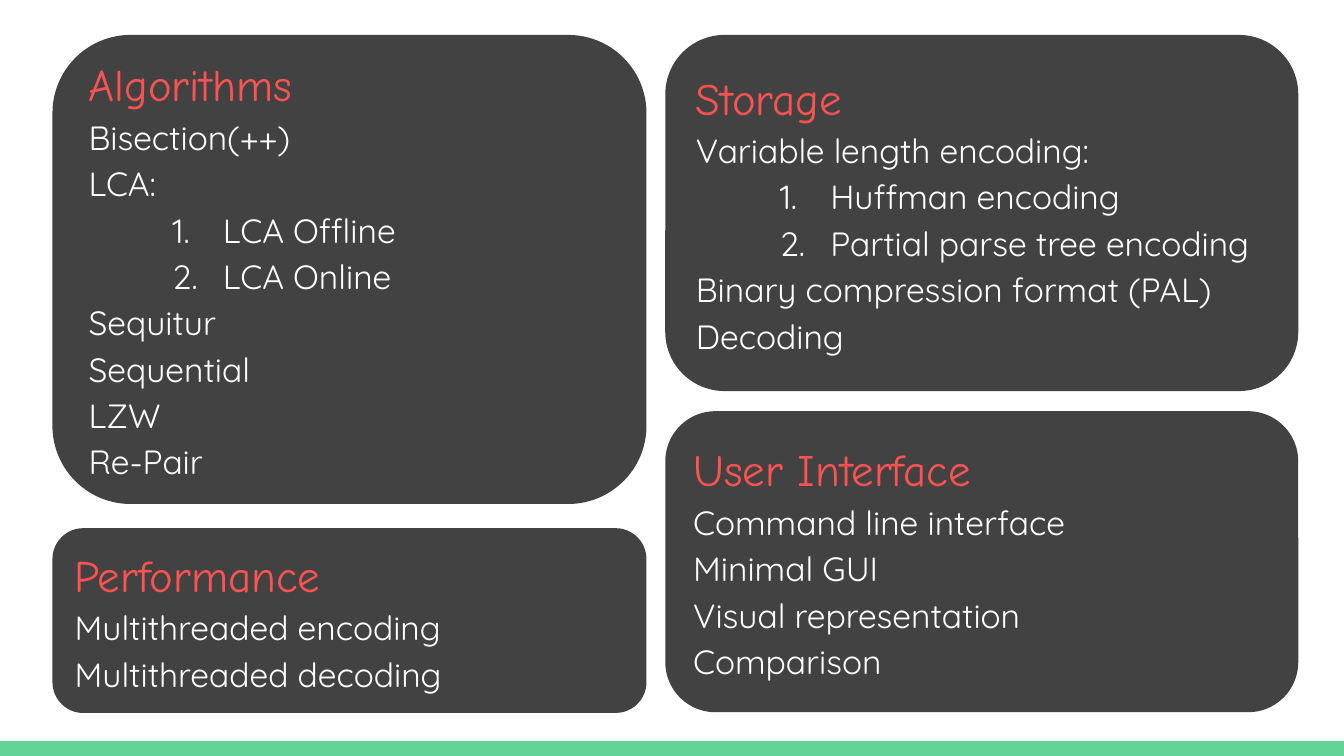
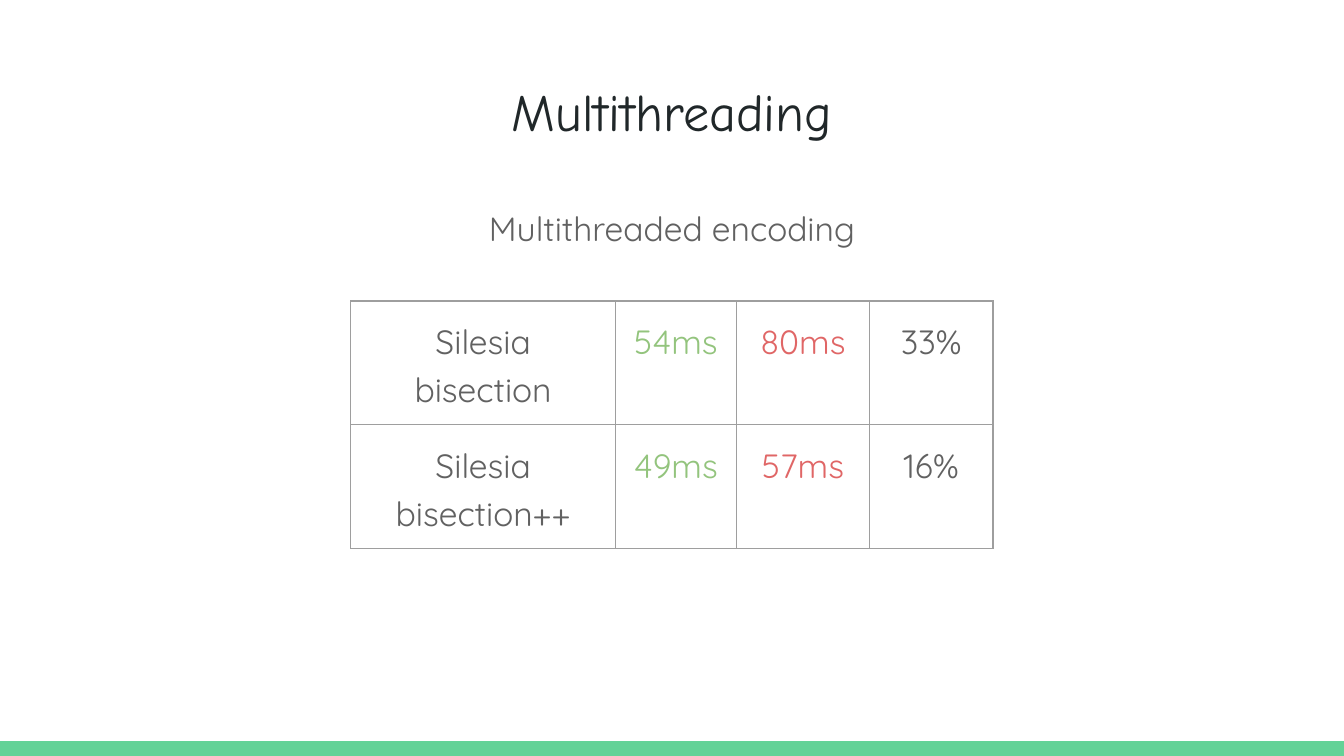
from dataclasses import dataclass

from lxml import etree
from pptx import Presentation
from pptx import util as u
from pptx.dml.color import RGBColor
from pptx.enum import shapes, text
from pptx.oxml.ns import qn


@dataclass(frozen=True)
class Theme:
    band: str = "63D297"
    panel: str = "424242"
    heading: str = "FF5252"
    light: str = "FFFFFF"
    title: str = "202729"
    body: str = "616161"
    faster: str = "93C47D"
    slower: str = "E06666"
    border: str = "9E9E9E"
    heading_font: str = "Comic Neue"
    body_font: str = "Quicksand"
    title_size: int = 28
    heading_size: int = 24
    body_size: int = 18
    body_spacing: float = 1.15
    border_width: float = 0.75


class Deck:
    COLUMNS = 100
    ROWS = 56.25

    def __init__(self, theme):
        self.theme = theme
        self.presentation = Presentation()
        self.presentation.slide_width = u.Inches(10)
        self.presentation.slide_height = u.Inches(5.625)
        self.slide = None

    def across(self, columns):
        return round(self.presentation.slide_width * columns / self.COLUMNS)

    def down(self, rows):
        return round(self.presentation.slide_height * rows / self.ROWS)

    def place(self, left, top, width, height):
        return self.across(left), self.down(top), self.across(width), self.down(height)

    def new_slide(self):
        self.slide = self.presentation.slides.add_slide(self.presentation.slide_layouts[6])
        band_height = 1.1
        self.block(shapes.MSO_SHAPE.RECTANGLE, self.theme.band,
                   0, self.ROWS - band_height, self.COLUMNS, band_height)

    def block(self, kind, color, *box):
        shape = self.slide.shapes.add_shape(kind, *self.place(*box))
        shape.shadow.inherit = False
        shape.fill.solid()
        shape.fill.fore_color.rgb = RGBColor.from_string(color)
        shape.line.fill.background()
        return shape

    def prepare(self, frame, anchor):
        frame.word_wrap = True
        frame.vertical_anchor = anchor
        frame.margin_left = frame.margin_right = self.across(1)
        frame.margin_top = frame.margin_bottom = self.down(1)
        return frame

    def add_words(self, paragraph, words, color, font, size, align, spacing=None):
        paragraph.alignment = align
        if spacing:
            paragraph.line_spacing = spacing
        run = paragraph.add_run()
        run.text = words
        run.font.name = font
        run.font.size = u.Pt(size)
        run.font.color.rgb = RGBColor.from_string(color)

    def add_body(self, paragraph, words, color, align=text.PP_ALIGN.CENTER):
        self.add_words(paragraph, words, color, self.theme.body_font,
                       self.theme.body_size, align, self.theme.body_spacing)

    def number(self, paragraph):
        properties = paragraph._p.get_or_add_pPr()
        properties.set("marL", str(self.across(10)))
        properties.set("indent", str(-self.across(3.75)))
        color = etree.SubElement(properties, qn("a:buClr"))
        etree.SubElement(color, qn("a:srgbClr"), val=self.theme.light)
        etree.SubElement(properties, qn("a:buFont"), typeface=self.theme.body_font)
        etree.SubElement(properties, qn("a:buAutoNum"), type="arabicPeriod")

    def panel(self, heading, items, *box):
        shape = self.block(shapes.MSO_SHAPE.ROUNDED_RECTANGLE, self.theme.panel, *box)
        frame = self.prepare(shape.text_frame, text.MSO_ANCHOR.MIDDLE)
        left = text.PP_ALIGN.LEFT
        self.add_words(frame.paragraphs[0], heading, self.theme.heading,
                       self.theme.heading_font, self.theme.heading_size, left)
        for item in items:
            numbered = isinstance(item, list)
            for words in item if numbered else [item]:
                paragraph = frame.add_paragraph()
                self.add_body(paragraph, words, self.theme.light, left)
                if numbered:
                    self.number(paragraph)

    def text_box(self, *box):
        shape = self.slide.shapes.add_textbox(*self.place(*box))
        return self.prepare(shape.text_frame, text.MSO_ANCHOR.TOP).paragraphs[0]

    def title(self, words):
        self.add_words(self.text_box(3.4, 4.9, 93.2, 6.3), words, self.theme.title,
                       self.theme.heading_font, self.theme.title_size, text.PP_ALIGN.CENTER)

    def subtitle(self, words, *box):
        self.add_body(self.text_box(*box), words, self.theme.body)

    def outline(self, cell):
        properties = cell._tc.get_or_add_tcPr()
        for side in ("lnL", "lnR", "lnT", "lnB"):
            line = etree.SubElement(properties, qn(f"a:{side}"),
                                    w=str(u.Pt(self.theme.border_width)))
            fill = etree.SubElement(line, qn("a:solidFill"))
            etree.SubElement(fill, qn("a:srgbClr"), val=self.theme.border)

    def table(self, rows, colors, widths, row_height, left, top):
        shape = self.slide.shapes.add_table(
            len(rows), len(widths),
            *self.place(left, top, sum(widths), row_height * len(rows)))
        table = shape.table
        table.first_row = table.horz_banding = False
        for column, width in zip(table.columns, widths):
            column.width = self.across(width)
        for row, values in zip(table.rows, rows):
            row.height = self.down(row_height)
            for cell, value, color in zip(row.cells, values, colors):
                self.outline(cell)
                cell.fill.background()
                frame = cell.text_frame
                cell.margin_left = cell.margin_right = self.across(1)
                cell.margin_top = cell.margin_bottom = self.down(1)
                for index, words in enumerate(value.split("\n")):
                    paragraph = frame.add_paragraph() if index else frame.paragraphs[0]
                    self.add_body(paragraph, words, color)


def features(deck):
    deck.new_slide()
    left, left_width = 3.9, 44.2
    right, right_width = 49.5, 47.1
    top = 2.6
    deck.panel("Algorithms",
               ["Bisection(++)", "LCA:", ["LCA Offline", "LCA Online"],
                "Sequitur", "Sequential", "LZW", "Re-Pair"],
               left, top, left_width, 34.9)
    deck.panel("Performance", ["Multithreaded encoding", "Multithreaded decoding"],
               left, 39.3, left_width, 13.75)
    deck.panel("Storage",
               ["Variable length encoding:",
                ["Huffman encoding", "Partial parse tree encoding"],
                "Binary compression format (PAL)", "Decoding"],
               right, top, right_width, 26.5)
    deck.panel("User Interface",
               ["Command line interface", "Minimal GUI",
                "Visual representation", "Comparison"],
               right, 30.6, right_width, 22.4)


def multithreading(deck):
    deck.new_slide()
    deck.subtitle("Multithreaded encoding", 26.7, 14, 46.6, 37.4)
    deck.title("Multithreading")
    theme = deck.theme
    deck.table([["Silesia\nbisection", "54ms", "80ms", "33%"],
                ["Silesia\nbisection++", "49ms", "57ms", "16%"]],
               [theme.body, theme.faster, theme.slower, theme.body],
               [19.7, 9, 9.9, 9.2], 9.2, 26.1, 22.4)


def main():
    deck = Deck(Theme())
    features(deck)
    multithreading(deck)
    deck.presentation.save("out.pptx")


if __name__ == "__main__":
    main()
